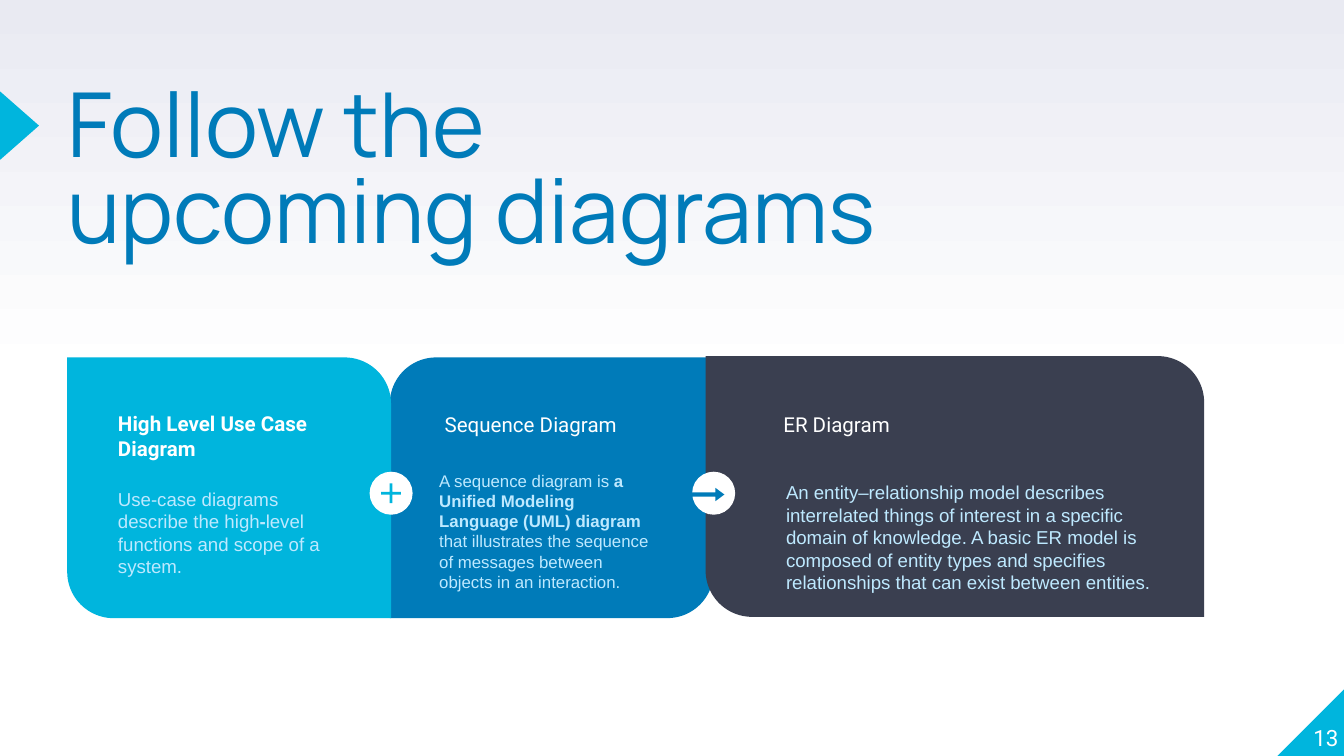
from pptx import Presentation
from pptx.dml.color import RGBColor
from pptx.enum.shapes import MSO_SHAPE
from pptx.enum.text import MSO_ANCHOR, PP_ALIGN
from pptx.util import Inches, Pt

COLORS = {
    "cyan": "00B5DD",
    "blue": "007BB9",
    "slate": "3A3F50",
    "pale": "BEE9FF",
    "lavender": "E9EAF2",
    "white": "FFFFFF",
}
ROUNDING = 0.178
CARD_HEIGHT = 1.94
BADGE_SIZE = 0.32


def rgb(name):
    return RGBColor.from_string(COLORS[name])


def add_filled_shape(slide, kind, box, color, adjustments=(), rotation=0):
    shape = slide.shapes.add_shape(kind, *map(Inches, box))
    shape.shadow.inherit = False
    shape.fill.solid()
    shape.fill.fore_color.rgb = rgb(color)
    shape.line.fill.background()
    shape.rotation = rotation
    for index, value in enumerate(adjustments):
        shape.adjustments[index] = value
    return shape


def add_text(slide, box, runs, size, font, color, inset=0.1):
    """Add one paragraph of (text, bold) runs and return its text frame."""
    frame = slide.shapes.add_textbox(*map(Inches, box)).text_frame
    frame.word_wrap = True
    frame.margin_left = frame.margin_right = Inches(inset)
    frame.margin_top = frame.margin_bottom = Inches(inset)
    for text, bold in runs:
        run = frame.paragraphs[0].add_run()
        run.text = text
        run.font.size = Pt(size)
        run.font.name = font
        run.font.bold = bold
        run.font.color.rgb = rgb(color)
    return frame


def paint_background(slide):
    fill = slide.background.fill
    fill.gradient()
    fill.gradient_angle = 90
    stops = zip(fill.gradient_stops, ((0.5, "white"), (1, "lavender")))
    for stop, (position, color) in stops:
        stop.position = position
        stop.color.rgb = rgb(color)


def add_title(slide, left, top, width, height):
    add_filled_shape(slide, MSO_SHAPE.ISOSCELES_TRIANGLE,
                     (left - 0.61, top + 0.13, 0.51, 0.29), "cyan", rotation=90)
    frame = add_text(slide, (left, top, width, height),
                     [("Follow the upcoming diagrams", False)],
                     48, "Manrope", "blue", inset=0)
    frame.paragraphs[0].line_spacing = 0.8


def add_page_number(slide, left, top, size):
    add_filled_shape(slide, MSO_SHAPE.RIGHT_TRIANGLE,
                     (left, top, size, size), "cyan", rotation=270)
    frame = add_text(slide, (left - 0.04, top - 0.04, 0.5, size),
                     [("13", False)], 12, "Roboto", "white", inset=0)
    frame.vertical_anchor = MSO_ANCHOR.BOTTOM
    frame.paragraphs[0].alignment = PP_ALIGN.RIGHT


def add_card(slide, left, top, width, color, corners, heading, body,
             heading_at, body_at, text_width, body_size=10):
    """Add a card; heading_at and body_at are offsets from its corner."""
    add_filled_shape(slide, MSO_SHAPE.ROUND_2_DIAG_RECTANGLE,
                     (left, top, width, CARD_HEIGHT), color, corners)
    add_text(slide, (left + heading_at[0], top + heading_at[1], text_width, 0.57),
             [heading], 11, "Roboto", "white")
    frame = add_text(slide, (left + body_at[0], top + body_at[1], text_width, 0.63),
                     body, body_size, "Arial", "pale")
    frame.paragraphs[0].space_after = Pt(16)


def add_badge(slide, left, top, symbol, symbol_box, color, adjustments):
    """Add a white disc with a symbol placed relative to its corner."""
    add_filled_shape(slide, MSO_SHAPE.OVAL,
                     (left, top, BADGE_SIZE, BADGE_SIZE), "white")
    x, y, width, height = symbol_box
    add_filled_shape(slide, symbol, (left + x, top + y, width, height),
                     color, adjustments)


def main():
    presentation = Presentation()
    presentation.slide_width = Inches(10)
    presentation.slide_height = presentation.slide_width * 9 // 16
    slide = presentation.slides.add_slide(presentation.slide_layouts[6])

    paint_background(slide)
    add_title(slide, 0.5, 0.66, 6.17, 1.18)
    add_page_number(slide, 9.5, 5.12, 0.51)

    add_card(
        slide, 2.9, 2.66, 2.41, "blue", (ROUNDING, 0),
        ("Sequence Diagram", False),
        [("A sequence diagram is ", False),
         ("a Unified Modeling Language (UML) diagram", True),
         (" that illustrates the sequence of messages between objects "
          "in an interaction.", False)],
        (0.31, 0.31), (0.27, 0.74), 1.8, body_size=9)
    add_card(
        slide, 0.5, 2.66, 2.41, "cyan", (0, ROUNDING),
        ("High Level Use Case Diagram", True),
        [("Use-case diagrams describe the high", False),
         ("-", True),
         ("level functions and scope of a system.", False)],
        (0.28, 0.3), (0.28, 0.87), 1.8)
    add_card(
        slide, 5.25, 2.65, 3.71, "slate", (0, ROUNDING),
        ("ER Diagram", False),
        [("An entity–relationship model describes interrelated things of "
          "interest in a specific domain of knowledge. A basic ER model is "
          "composed of entity types and specifies relationships that can "
          "exist between entities.", False)],
        (0.48, 0.32), (0.5, 0.83), 2.99)

    add_badge(slide, 5.15, 3.51, MSO_SHAPE.RIGHT_ARROW,
              (0, 0.12, 0.24, 0.1), "blue", (0.32, 0.67))
    add_badge(slide, 2.75, 3.51, MSO_SHAPE.MATH_PLUS,
              (0.06, 0.06, 0.2, 0.2), "cyan", (0.1,))

    presentation.save("out.pptx")


if __name__ == "__main__":
    main()
